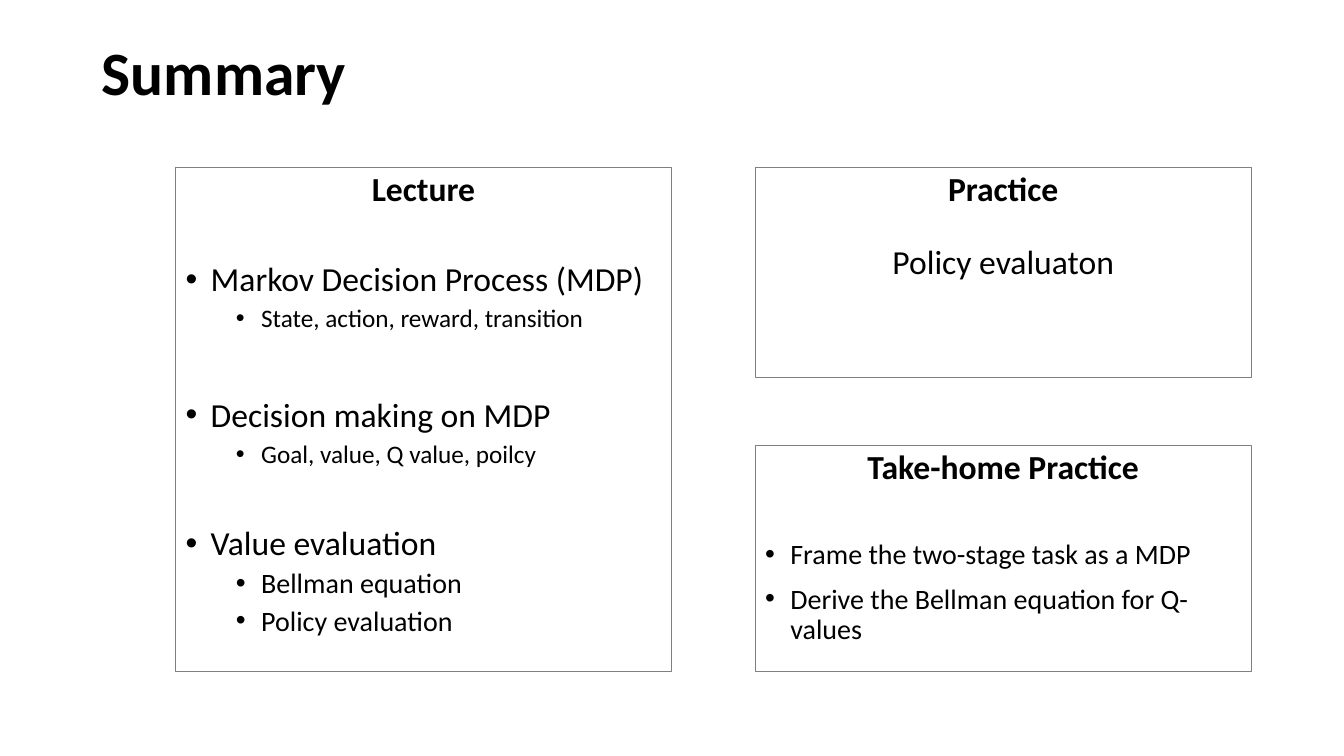
"""Build the summary slide: a lecture recap beside two practice boxes."""
from lxml import etree
from pptx import Presentation
from pptx import util as u
from pptx.dml.color import RGBColor
from pptx.enum import shapes, text
from pptx.oxml.ns import qn

WIDTH, HEIGHT = 13.33, 7.5
TITLE = "Summary"

# Paragraph rows: style, text, size, space before
LECTURE = [
    ("heading", "Lecture", 24, 0),
    ("bullet", "Markov Decision Process (MDP)", 24, 38.5),
    ("sub", "State, action, reward, transition", 18, 5),
    ("bullet", "Decision making on MDP", 24, 46.4),
    ("sub", "Goal, value, Q value, poilcy", 18, 5),
    ("bullet", "Value evaluation", 24, 41.4),
    ("sub", "Bellman equation", 20, 5),
    ("sub", "Policy evaluation", 20, 5),
]
PRACTICE = [
    ("heading", "Practice", 24, 0),
    ("plain", "Policy evaluaton", 24, 26.4),
]
TAKE_HOME = [
    ("heading", "Take-home Practice", 24, 0),
    ("bullet", "Frame the two-stage task as a MDP", 20, 38.5),
    ("bullet", "Derive the Bellman equation for Q-values", 20, 10),
]

LEFT, RIGHT, COLUMN = 1.74, 7.49, 4.92
TOP, BOTTOM = 1.66, 6.66
PRACTICE_HEIGHT, TAKE_HOME_TOP = 2.09, 4.42
INDENTS = {"bullet": 0.25, "sub": 0.75}


def color(value):
    return RGBColor.from_string(value)


def place(shape, left, top, width, height):
    shape.left, shape.top = u.Inches(left), u.Inches(top)
    shape.width, shape.height = u.Inches(width), u.Inches(height)


def style_run(span, size, bold):
    span.font.name = "Calibri"
    span.font.size = u.Pt(size)
    span.font.bold = bold
    span.font.color.rgb = color("000000")


def set_bullet(para, style):
    properties = para._p.get_or_add_pPr()
    indent = INDENTS.get(style, 0)
    properties.set("marL", str(u.Inches(indent)))
    properties.set("indent", str(u.Inches(-0.25 if indent else 0)))
    if indent:
        etree.SubElement(properties, qn("a:buFont"), typeface="Arial")
        etree.SubElement(properties, qn("a:buChar"), char="•")
    else:
        etree.SubElement(properties, qn("a:buNone"))


def fill_box(box, rows):
    box.fill.background()
    box.line.color.rgb = color("808080")
    box.line.width = u.Pt(0.75)
    frame = box.text_frame
    frame.word_wrap = True
    frame.auto_size = text.MSO_AUTO_SIZE.NONE
    frame.vertical_anchor = text.MSO_ANCHOR.TOP
    frame.text = "\n".join(row[1] for row in rows)
    for para, (style, _, size, before) in zip(frame.paragraphs, rows):
        set_bullet(para, style)
        para.level = 1 if style == "sub" else 0
        para.alignment = text.PP_ALIGN.LEFT if style in INDENTS else text.PP_ALIGN.CENTER
        para.line_spacing = 0.9
        para.space_before = u.Pt(before)
        style_run(para.runs[0], size, style == "heading")


def main():
    deck = Presentation()
    deck.slide_width, deck.slide_height = u.Inches(WIDTH), u.Inches(HEIGHT)
    page = deck.slides.add_slide(deck.slide_layouts[1])

    title = page.shapes.title
    place(title, 0.91, 0.02, 11.5, 1.45)
    frame = title.text_frame
    frame.text = TITLE
    frame.auto_size = text.MSO_AUTO_SIZE.NONE
    frame.vertical_anchor = text.MSO_ANCHOR.MIDDLE
    para = frame.paragraphs[0]
    para.alignment = text.PP_ALIGN.LEFT
    para.line_spacing = 0.9
    style_run(para.runs[0], 44, True)

    lecture = page.placeholders[1]
    place(lecture, LEFT, TOP, COLUMN, BOTTOM - TOP)
    fill_box(lecture, LECTURE)

    for rows, top, height in (
        (PRACTICE, TOP, PRACTICE_HEIGHT),
        (TAKE_HOME, TAKE_HOME_TOP, BOTTOM - TAKE_HOME_TOP),
    ):
        box = page.shapes.add_shape(shapes.MSO_SHAPE.RECTANGLE, 0, 0, 0, 0)
        box.shadow.inherit = False
        place(box, RIGHT, top, COLUMN, height)
        fill_box(box, rows)

    deck.save("out.pptx")


if __name__ == "__main__":
    main()
